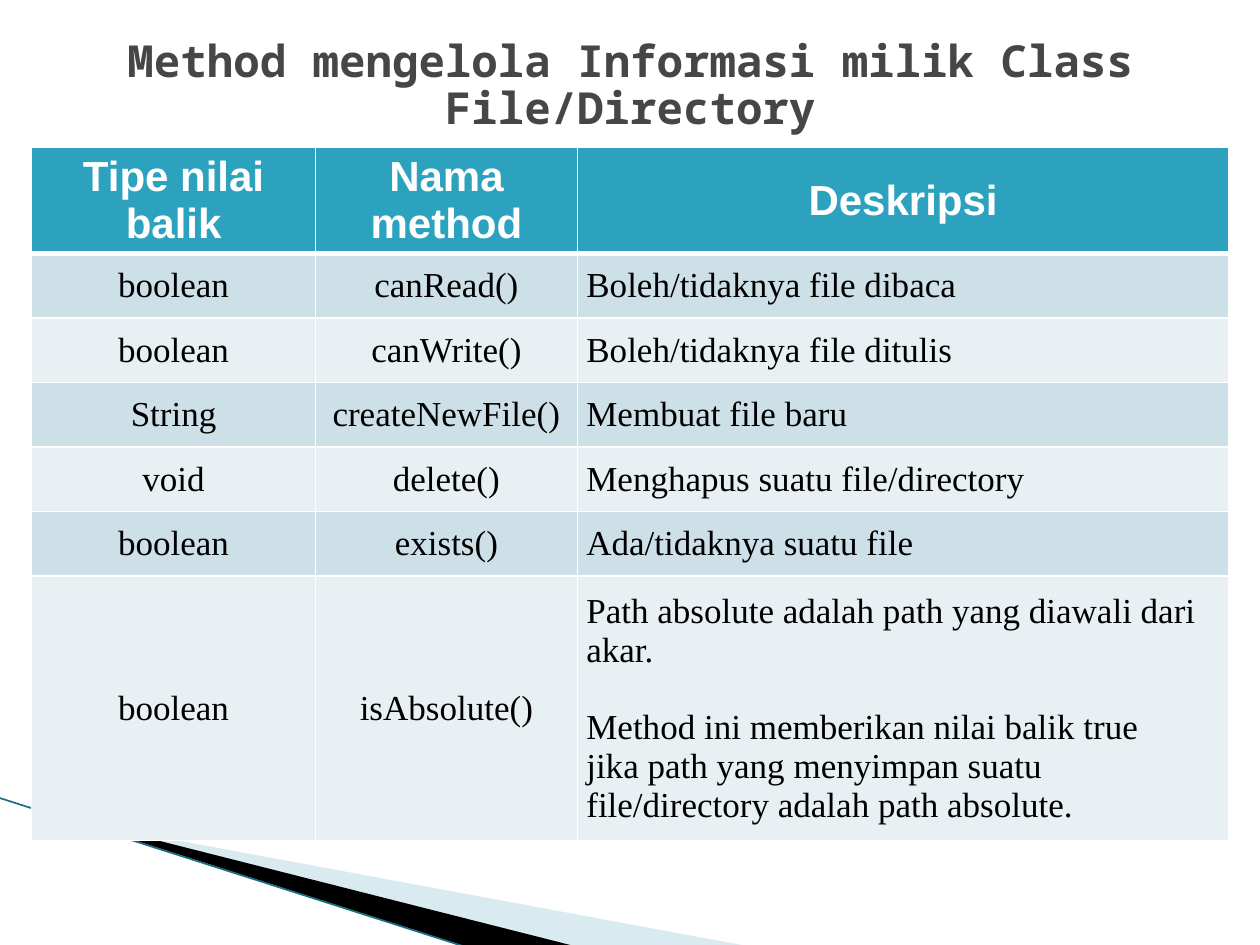
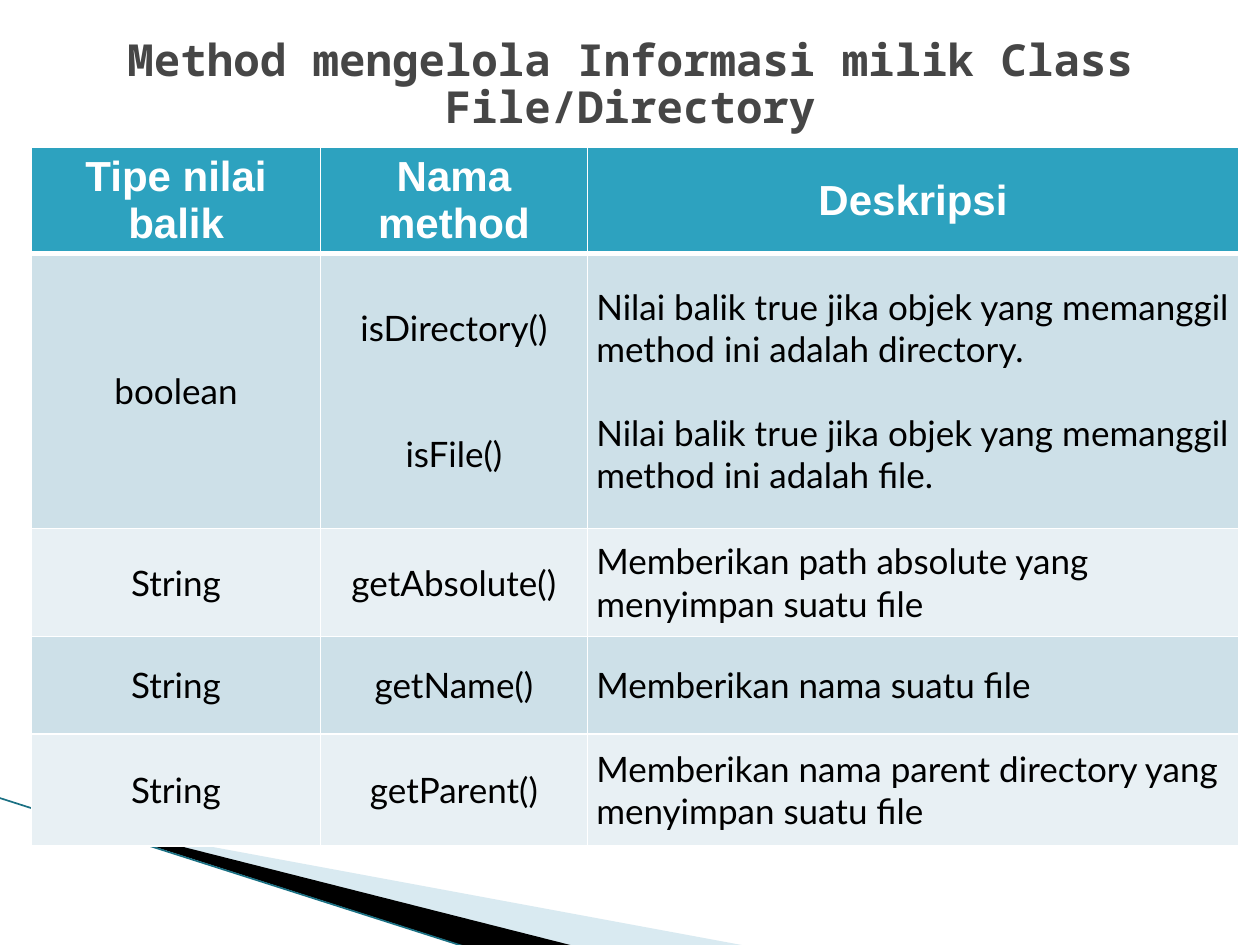
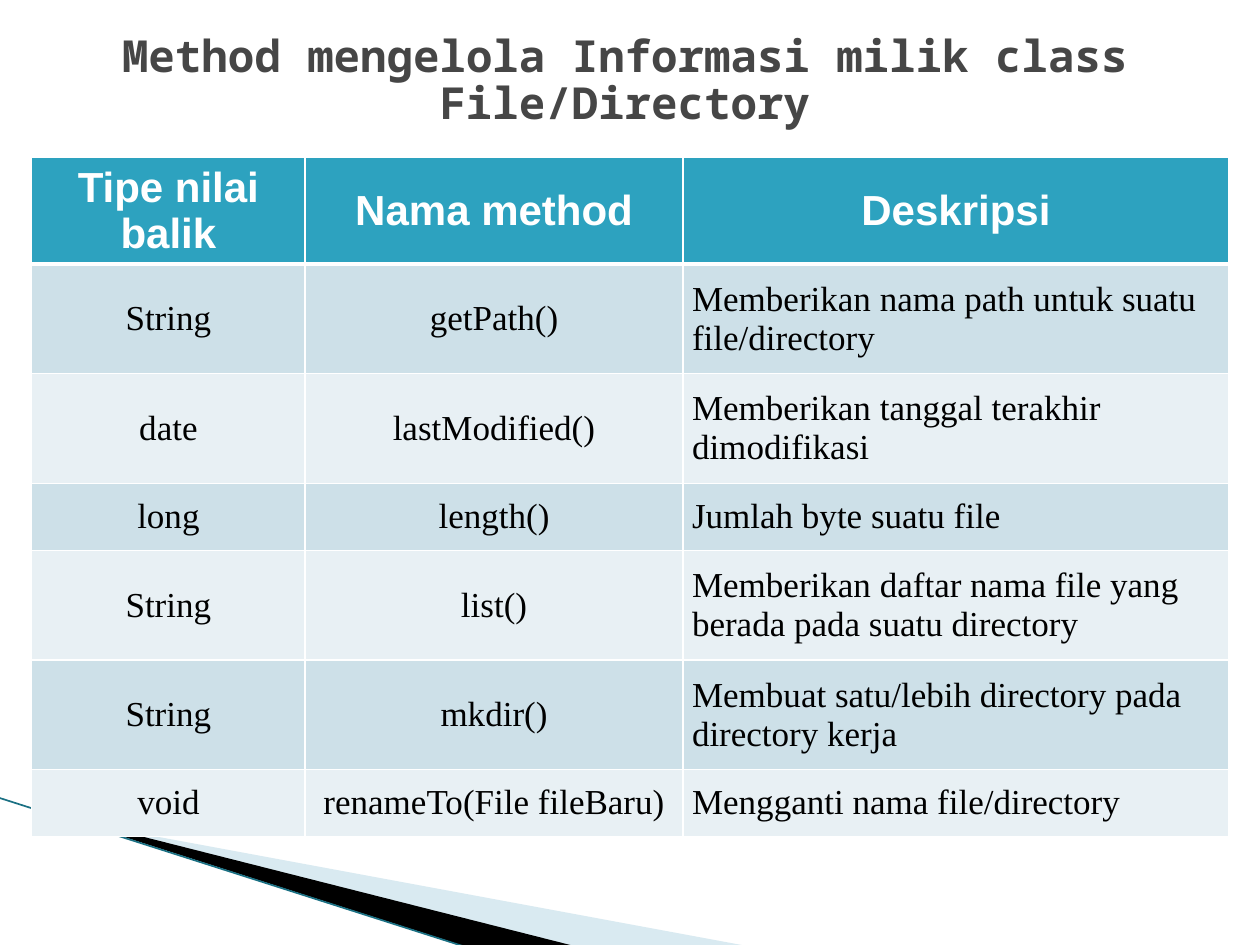
from dataclasses import dataclass

import pptx
import pptx.dml.color
import pptx.enum.shapes
import pptx.enum.text
import pptx.oxml
import pptx.oxml.ns
import pptx.util

Cm, Pt = pptx.util.Cm, pptx.util.Pt
RGB = pptx.dml.color.RGBColor.from_string
ALIGN = pptx.enum.text.PP_ALIGN
MIDDLE = pptx.enum.text.MSO_ANCHOR.MIDDLE
qn = pptx.oxml.ns.qn
NS = pptx.oxml.ns.nsdecls("a")


@dataclass(frozen=True)
class Theme:
    title_color: str = "464646"
    title_font: str = "Noto Sans Mono"
    title_size: float = 25.2
    title_spacing: float = 0.88
    header_fill: str = "2DA2BF"
    header_color: str = "FFFFFF"
    header_font: str = "Arial"
    header_size: int = 24
    row_fills: tuple = ("CDE0E8", "E8F0F4")
    body_color: str = "000000"
    body_size: int = 20
    border: str = "FFFFFF"
    thin: int = 1
    thick: int = 3
    light_band: str = "A0CBDC"
    light_alpha: int = 40
    dark_band: str = "000000"
    edge_line: str = "1A7083"
    edge_width: float = 0.95


THEME = Theme()
HEADER = ("Tipe nilai balik", "Nama method", "Deskripsi")
TABLE_LEFT = 0.64
LIGHT_BAND = [(1.4, 16.54), (15.11, 19.08), (11.58, 19.08), (1.4, 16.51)]
DARK_BAND = [(1.35, 16.48), (11.61, 19.08), (9.45, 19.1), (1.37, 16.51)]
EDGE = (-0.03, 16.08, 9.42, 19.1)

# A cell is a string, or a list of (paragraph, points of space before).
SLIDES = [
    {
        "title": "Method mengelola Informasi milik Class File/Directory",
        "title_box": (0.64, 0.76, 24.13, 1.98),
        "top": 2.97,
        "font": "Times New Roman",
        "columns": (5.72, 5.28, 13.13),
        "heights": [1.3] * 6 + [5.33],
        "rows": [
            ("boolean", "canRead()", "Boleh/tidaknya file dibaca"),
            ("boolean", "canWrite()", "Boleh/tidaknya file ditulis"),
            ("String", "createNewFile()", "Membuat file baru"),
            ("void", "delete()", "Menghapus suatu file/directory"),
            ("boolean", "exists()", "Ada/tidaknya suatu file"),
            ("boolean", "isAbsolute()", [
                ("Path absolute adalah path yang diawali dari akar.", 0),
                ("Method ini memberikan nilai balik true", 22),
                ("jika path yang menyimpan suatu file/directory "
                 "adalah path absolute.", 0),
            ]),
        ],
    },
    {
        "title": "Method mengelola Informasi milik Class File/Directory",
        "title_box": (0.64, 0.64, 24.13, 2.2),
        "top": 2.97,
        "font": "Lato",
        "columns": (5.82, 5.38, 13.13),
        "heights": [1.63, 5.54, 2.18, 1.96, 2.26],
        "rows": [
            ("boolean", [("isDirectory()", 0), ("isFile()", 48)], [
                ("Nilai balik true jika objek yang memanggil "
                 "method ini adalah directory.", 0),
                ("Nilai balik true jika objek yang memanggil "
                 "method ini adalah file.", 24),
            ]),
            ("String", "getAbsolute()",
             "Memberikan path absolute yang menyimpan suatu file"),
            ("String", "getName()", "Memberikan nama suatu file"),
            ("String", "getParent()",
             "Memberikan nama parent directory yang menyimpan suatu file"),
        ],
    },
    {
        "title": "Method mengelola Informasi milik class File/Directory",
        "title_box": (0.43, 0.76, 24.33, 1.78),
        "top": 3.18,
        "font": "Times New Roman",
        "columns": (5.51, 7.62, 11),
        "heights": [1.78, 2.21, 2.21, 1.35, 2.21, 2.21, 1.35],
        "rows": [
            ("String", "getPath()",
             "Memberikan nama path untuk suatu file/directory"),
            ("date", "lastModified()",
             "Memberikan tanggal terakhir dimodifikasi"),
            ("long", "length()", "Jumlah byte suatu file"),
            ("String", "list()",
             "Memberikan daftar nama file yang berada pada suatu directory"),
            ("String", "mkdir()",
             "Membuat satu/lebih directory pada directory kerja"),
            ("void", "renameTo(File fileBaru)", "Mengganti nama file/directory"),
        ],
    },
]


def style(p, name, size, color, bold, align):
    p.font.name, p.font.size, p.font.bold = name, Pt(size), bold
    p.font.color.rgb = RGB(color)
    p.alignment = align


def add_band(slide, points, color, alpha=None):
    corners = [(Cm(x), Cm(y)) for x, y in points]
    builder = slide.shapes.build_freeform(*corners[0])
    builder.add_line_segments(corners[1:], close=True)
    sp = builder.convert_to_shape()
    sp.shadow.inherit = False
    sp.line.fill.background()
    sp.fill.solid()
    sp.fill.fore_color.rgb = RGB(color)
    if alpha:
        fill = sp.fill._xPr.find(qn("a:solidFill"))
        fill[0].append(pptx.oxml.parse_xml(f'<a:alpha {NS} val="{alpha * 1000}"/>'))


def add_corner(slide):
    """Draw the slanted bands at the lower left."""
    add_band(slide, LIGHT_BAND, THEME.light_band, THEME.light_alpha)
    add_band(slide, DARK_BAND, THEME.dark_band)
    line = slide.shapes.add_connector(
        pptx.enum.shapes.MSO_CONNECTOR.STRAIGHT, *map(Cm, EDGE))
    line.line.color.rgb = RGB(THEME.edge_line)
    line.line.width = Pt(THEME.edge_width)
    line._element.spPr.append(pptx.oxml.parse_xml(f"<a:effectLst {NS}/>"))


def add_title(slide, text, box):
    tf = slide.shapes.add_textbox(*map(Cm, box)).text_frame
    tf.word_wrap = True
    tf.vertical_anchor = MIDDLE
    p = tf.paragraphs[0]
    p.text = text
    p.line_spacing = THEME.title_spacing
    style(p, THEME.title_font, THEME.title_size, THEME.title_color, True, ALIGN.CENTER)


def set_borders(cell, top, bottom):
    tcPr = cell._tc.get_or_add_tcPr()
    widths = {"L": THEME.thin, "R": THEME.thin, "T": top, "B": bottom}
    for side, width in widths.items():
        tcPr.append(pptx.oxml.parse_xml(
            f'<a:ln{side} {NS} w="{Pt(width)}"><a:solidFill>'
            f'<a:srgbClr val="{THEME.border}"/></a:solidFill></a:ln{side}>'))


def fill_cell(cell, content, row, col, body_font):
    header = row == 0
    set_borders(cell, THEME.thick if row == 1 else THEME.thin,
                THEME.thick if header else THEME.thin)
    cell.fill.solid()
    cell.fill.fore_color.rgb = RGB(
        THEME.header_fill if header else THEME.row_fills[(row - 1) % 2])
    cell.vertical_anchor = MIDDLE
    if not header:
        cell.margin_left = cell.margin_right = Cm(0.18)
        cell.margin_top = cell.margin_bottom = 0
    paragraphs = [(content, 0)] if isinstance(content, str) else content
    tf = cell.text_frame
    for i, (text, gap) in enumerate(paragraphs):
        p = tf.add_paragraph() if i else tf.paragraphs[0]
        p.text = text
        p.space_before = Pt(gap)
        if header:
            style(p, THEME.header_font, THEME.header_size, THEME.header_color,
                  True, ALIGN.CENTER)
        else:
            style(p, body_font, THEME.body_size, THEME.body_color, False,
                  ALIGN.LEFT if col == 2 else ALIGN.CENTER)


def add_method_table(slide, data):
    rows = [HEADER] + data["rows"]
    columns, heights = data["columns"], data["heights"]
    table = slide.shapes.add_table(
        len(rows), len(columns), Cm(TABLE_LEFT), Cm(data["top"]),
        Cm(sum(columns)), Cm(sum(heights))).table
    for column, width in zip(table.columns, columns):
        column.width = Cm(width)
    for r, (contents, height) in enumerate(zip(rows, heights)):
        table.rows[r].height = Cm(height)
        for c, content in enumerate(contents):
            fill_cell(table.cell(r, c), content, r, c, data["font"])


def main():
    prs = pptx.Presentation()
    prs.slide_width, prs.slide_height = Cm(25.4), Cm(19.05)
    for data in SLIDES:
        slide = prs.slides.add_slide(prs.slide_layouts[6])
        add_corner(slide)
        add_method_table(slide, data)
        add_title(slide, data["title"], data["title_box"])
    prs.save("out.pptx")


if __name__ == "__main__":
    main()
